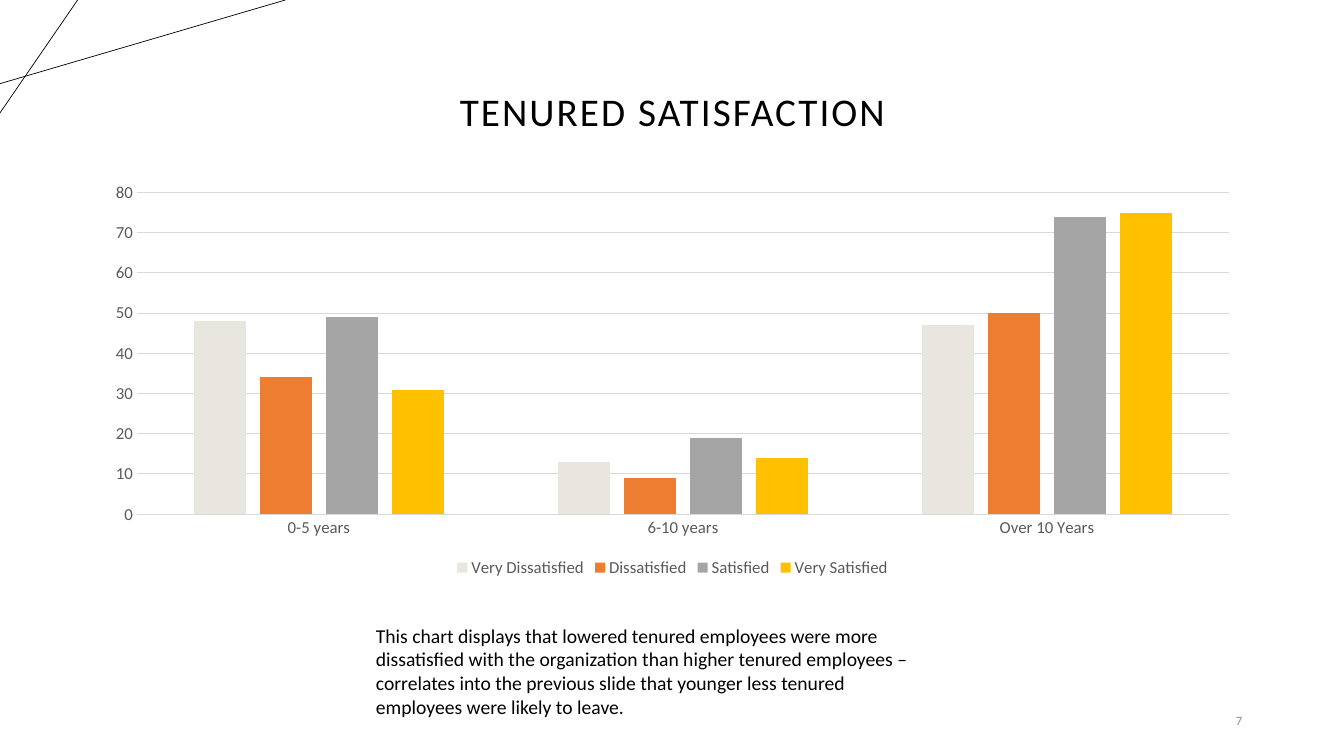
from dataclasses import dataclass

from lxml import etree
from pptx import Presentation
from pptx import util as u
from pptx.chart import data as chart_data
from pptx.dml.color import RGBColor
from pptx.enum import chart as chart_enum
from pptx.enum import shapes, text
from pptx.oxml import ns

BLACK = RGBColor(0x00, 0x00, 0x00)
PAGE_GRAY = RGBColor(0x8C, 0x8C, 0x8C)
LABEL_GRAY = RGBColor(0x59, 0x59, 0x59)
GRID_GRAY = RGBColor(0xD9, 0xD9, 0xD9)
IVORY = RGBColor(0xE9, 0xE6, 0xDF)
ORANGE = RGBColor(0xED, 0x7D, 0x31)
GRAY = RGBColor(0xA5, 0xA5, 0xA5)
GOLD = RGBColor(0xFF, 0xC0, 0x00)
FONT = "Calibri"


@dataclass
class CornerLine:
    start: tuple[float, float]
    end: tuple[float, float]


@dataclass
class Caption:
    wording: str
    box: tuple[float, float, float, float]
    size: float
    color: RGBColor = BLACK
    align: text.PP_ALIGN = text.PP_ALIGN.LEFT
    anchor: text.MSO_ANCHOR = text.MSO_ANCHOR.MIDDLE
    line_spacing: float = 1.0
    letter_spacing: float = 0


@dataclass
class Rating:
    name: str
    counts: tuple[int, ...]
    color: RGBColor


CORNER_LINES = [
    CornerLine((0, 0.83), (2.83, 0)),
    CornerLine((0.77, 0), (0, 1.12)),
]
CAPTIONS = [
    Caption("TENURED SATISFACTION", (0.92, 0.4, 11.5, 1.45), 28,
            align=text.PP_ALIGN.CENTER, line_spacing=0.9, letter_spacing=1.5),
    Caption("7", (9.42, 6.95, 3, 0.4), 9, PAGE_GRAY, text.PP_ALIGN.RIGHT),
    Caption("This chart displays that lowered tenured employees were more "
            "dissatisfied with the organization than higher tenured employees – "
            "correlates into the previous slide that younger less tenured "
            "employees were likely to leave.",
            (3.63, 6.14, 5.64, 1.04), 14, anchor=text.MSO_ANCHOR.TOP),
]
TENURES = ["0-5 years", "6-10 years", "Over 10 Years"]
RATINGS = [
    Rating("Very Dissatisfied", (48, 13, 47), IVORY),
    Rating("Dissatisfied", (34, 9, 50), ORANGE),
    Rating("Satisfied", (49, 19, 74), GRAY),
    Rating("Very Satisfied", (31, 14, 75), GOLD),
]
CHART_BOX = (0.92, 1.73, 11.5, 4.04)


def style_font(font, size: float, color: RGBColor) -> None:
    font.name = FONT
    font.size = u.Pt(size)
    font.color.rgb = color


def style_line(line, color: RGBColor, width: float) -> None:
    line.color.rgb = color
    line.width = u.Pt(width)


def draw_corner_line(slide, corner: CornerLine) -> None:
    ends = [u.Inches(v) for v in (*corner.start, *corner.end)]
    stroke = slide.shapes.add_connector(shapes.MSO_CONNECTOR.STRAIGHT, *ends)
    style_line(stroke.line, BLACK, 0.5)
    etree.SubElement(stroke._element.spPr, ns.qn("a:effectLst"))


def draw_caption(slide, caption: Caption) -> None:
    frame = slide.shapes.add_textbox(*map(u.Inches, caption.box)).text_frame
    frame.word_wrap = True
    frame.vertical_anchor = caption.anchor
    paragraph = frame.paragraphs[0]
    paragraph.alignment = caption.align
    paragraph.line_spacing = caption.line_spacing
    run = paragraph.add_run()
    run.text = caption.wording
    style_font(run.font, caption.size, caption.color)
    if caption.letter_spacing:
        run._r.get_or_add_rPr().set("spc", str(round(caption.letter_spacing * 100)))


def draw_satisfaction_chart(slide) -> None:
    survey = chart_data.CategoryChartData()
    survey.categories = TENURES
    for rating in RATINGS:
        survey.add_series(rating.name, rating.counts)
    chart = slide.shapes.add_chart(
        chart_enum.XL_CHART_TYPE.COLUMN_CLUSTERED,
        *map(u.Inches, CHART_BOX), survey).chart
    style_font(chart.font, 10, BLACK)
    chart.has_title = False

    chart.has_legend = True
    chart.legend.position = chart_enum.XL_LEGEND_POSITION.BOTTOM
    chart.legend.include_in_layout = False
    style_font(chart.legend.font, 12, LABEL_GRAY)

    for axis in (chart.category_axis, chart.value_axis):
        axis.major_tick_mark = chart_enum.XL_TICK_MARK.NONE
        axis.minor_tick_mark = chart_enum.XL_TICK_MARK.NONE
        style_font(axis.tick_labels.font, 12, LABEL_GRAY)
    style_line(chart.category_axis.format.line, GRID_GRAY, 0.75)
    counts = chart.value_axis
    counts.minimum_scale, counts.maximum_scale, counts.major_unit = 0, 80, 10
    counts.format.line.fill.background()
    style_line(counts.major_gridlines.format.line, GRID_GRAY, 0.75)

    columns = chart.plots[0]
    columns.gap_width = 219
    columns.overlap = -27
    columns.vary_by_categories = False
    for series, rating in zip(columns.series, RATINGS):
        series.format.fill.solid()
        series.format.fill.fore_color.rgb = rating.color


def main() -> None:
    deck = Presentation()
    deck.slide_width = u.Inches(13.33)
    deck.slide_height = u.Inches(7.5)
    slide = deck.slides.add_slide(deck.slide_layouts[6])
    for corner in CORNER_LINES:
        draw_corner_line(slide, corner)
    draw_satisfaction_chart(slide)
    for caption in CAPTIONS:
        draw_caption(slide, caption)
    deck.save("out.pptx")


if __name__ == "__main__":
    main()
